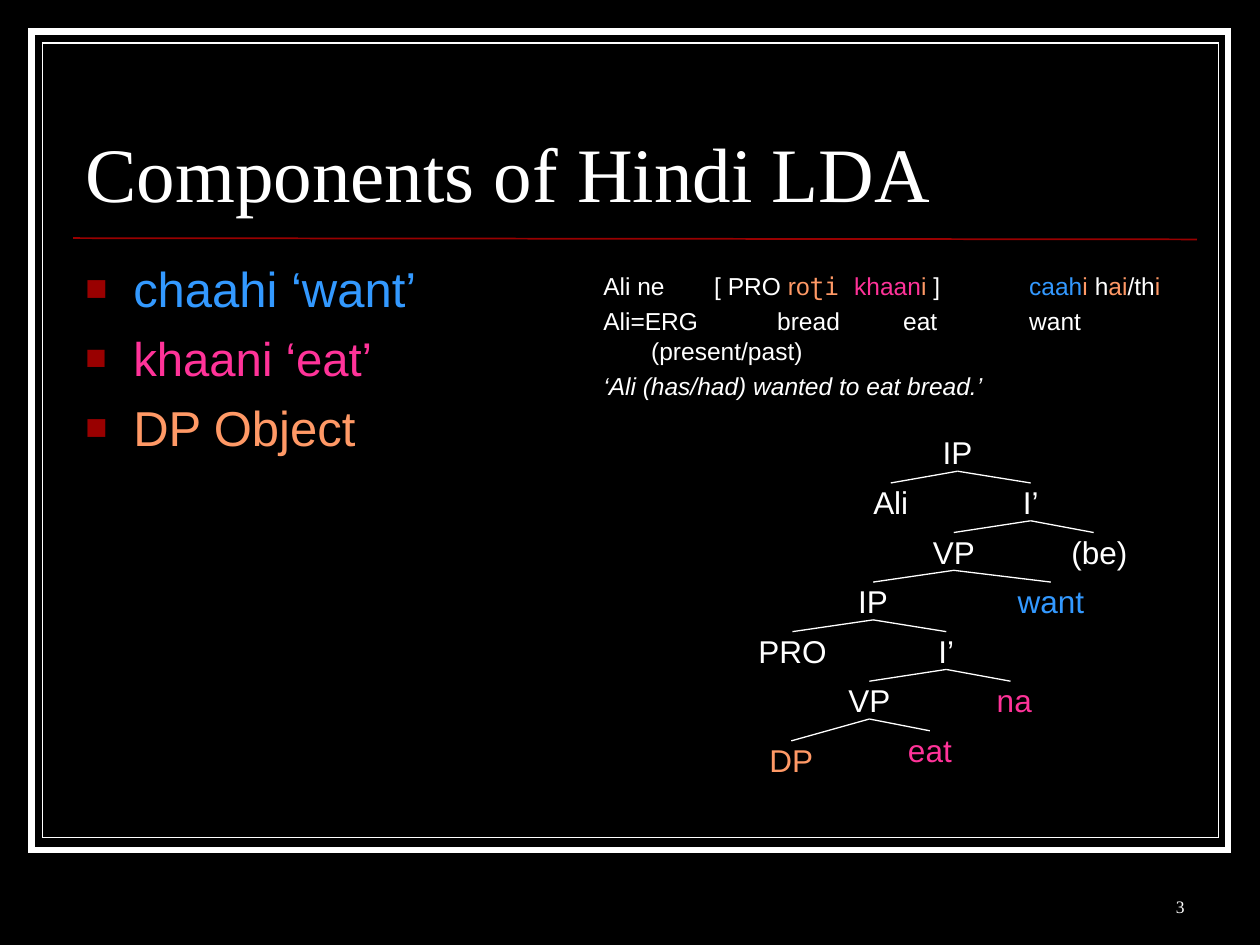
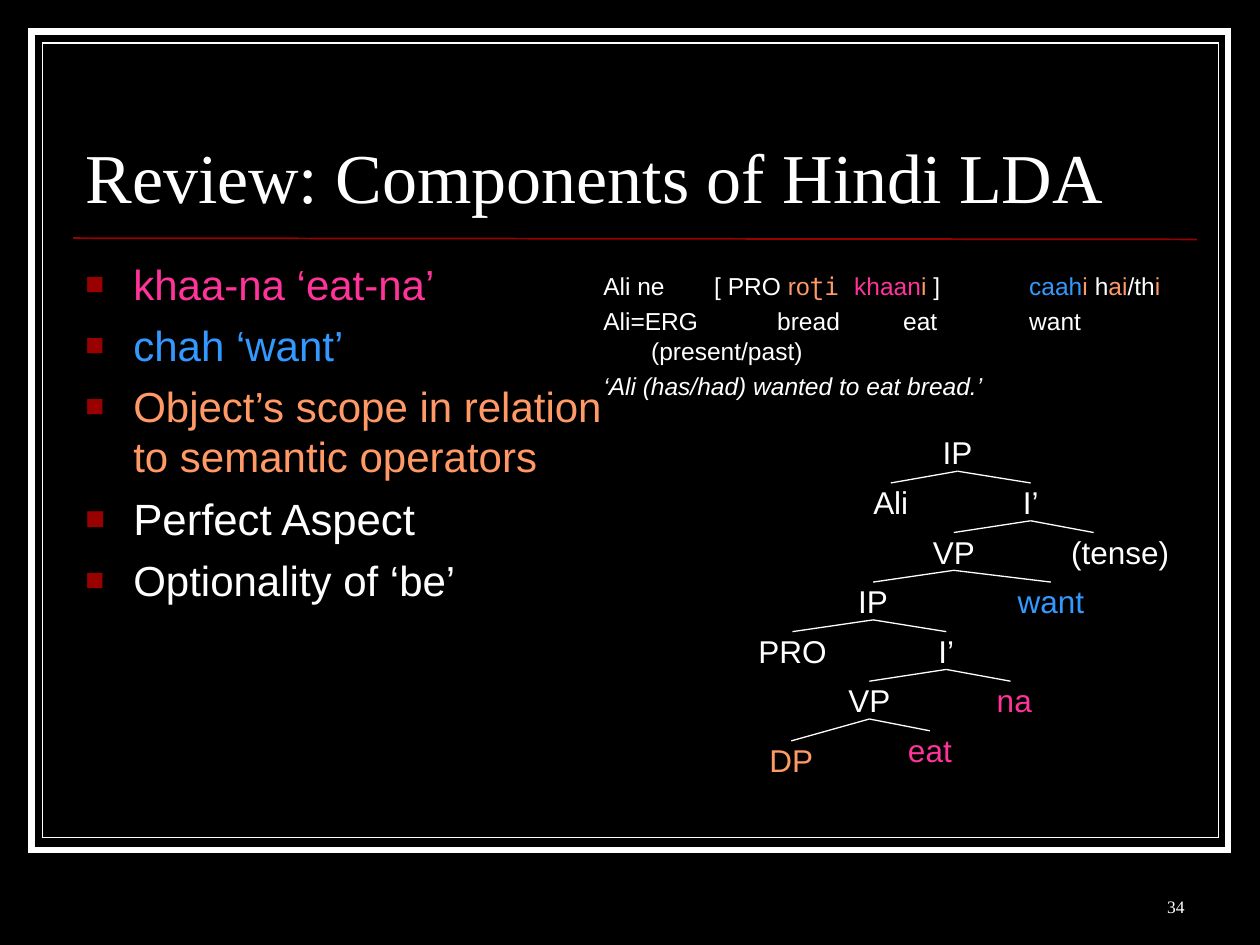
from dataclasses import dataclass

from lxml import etree
from pptx import Presentation
from pptx.dml.color import RGBColor
from pptx.enum.shapes import MSO_CONNECTOR, MSO_SHAPE
from pptx.enum.text import MSO_ANCHOR, PP_ALIGN
from pptx.oxml.ns import qn
from pptx.util import Inches, Pt

RECT, LINE = MSO_SHAPE.RECTANGLE, MSO_CONNECTOR.STRAIGHT
TOP, MIDDLE, BOTTOM = MSO_ANCHOR.TOP, MSO_ANCHOR.MIDDLE, MSO_ANCHOR.BOTTOM
LEFT, CENTER, RIGHT = PP_ALIGN.LEFT, PP_ALIGN.CENTER, PP_ALIGN.RIGHT

WIDTH, HEIGHT = Inches(10), Inches(7.5)
COLS = 10
UNIT = WIDTH / COLS  # grid squares: 10 columns by 7.5 rows

BLACK, WHITE, RED = "000000", "FFFFFF", "990000"
BLUE, PINK, PEACH = "3399FF", "FF3399", "FF9966"
SANS, SERIF, MONO = "Arial", "Times New Roman", "DejaVu Sans Mono"

HANG = 0.38
PAD = (0.1, 0.05)
TREE_TOP, TREE_END, LEVELS = 3.44, 5.8, 6
STEP = (TREE_END - TREE_TOP) / LEVELS
LABEL, SLACK = 0.3, 0.06


def grid(*sizes):
    """Turn grid squares into slide lengths."""
    return [round(size * UNIT) for size in sizes]


def paint(target, color):
    """Colour a fill, or a font or line through its own colour."""
    if hasattr(target, "solid"):
        target.solid()
        target = target.fore_color
    else:
        target = target.color
    target.rgb = RGBColor.from_string(color)


def node(parent, tag, **attrs):
    return etree.SubElement(parent, qn(tag), {k: str(v) for k, v in attrs.items()})


def add_bullet(para):
    props = para._p.get_or_add_pPr()
    node(node(props, "a:buClr"), "a:srgbClr", val=RED)
    node(props, "a:buSzPct", val=75000)
    node(props, "a:buFont", typeface=SANS)
    node(props, "a:buChar", char="■")


def add_run(para, words, size, font, color, italic=False):
    run = para.add_run()
    run.text = words
    run.font.size, run.font.name = Pt(size), font
    run.font.italic = italic
    paint(run.font, color)


def add_para(para, runs, size=18, font=SANS, color=WHITE, align=LEFT, before=0,
             spacing=None, hang=0, bullet=False, italic=False):
    """Fill a paragraph; runs is a string or (words, colour[, font]) tuples."""
    para.alignment, para.line_spacing = align, spacing
    para.space_before = Pt(before)
    if hang:
        margin, = grid(hang)
        props = para._p.get_or_add_pPr()
        props.set("marL", str(margin))
        props.set("indent", str(-margin))
    if bullet:
        add_bullet(para)
    if isinstance(runs, str):
        runs = [(runs, color)]
    for words, tint, *face in runs:
        add_run(para, words, size, face[0] if face else font, tint, italic)


def add_text(slide, box, paras, anchor=TOP, pad=PAD, wrap=True, **style):
    """Add a text box; paras is a string or (runs, own style) pairs."""
    frame = slide.shapes.add_textbox(*grid(*box)).text_frame
    frame.word_wrap, frame.vertical_anchor = wrap, anchor
    side, edge = grid(*pad)
    frame.margin_left = frame.margin_right = side
    frame.margin_top = frame.margin_bottom = edge
    if isinstance(paras, str):
        paras = [(paras, {})]
    for i, (runs, own) in enumerate(paras):
        para = frame.add_paragraph() if i else frame.paragraphs[0]
        add_para(para, runs, **{**style, **own})


def add_frame(slide, inset, box, weight):
    shape = slide.shapes.add_shape(RECT, *grid(inset, inset, *box))
    shape.shadow.inherit = False
    paint(shape.fill, BLACK)
    paint(shape.line, WHITE)
    shape.line.width = Pt(weight)
    node(shape._element.spPr.find(qn("a:ln")), "a:miter", lim=800000)


def add_line(slide, start, end, color=WHITE, weight=0.75):
    line = slide.shapes.add_connector(LINE, *grid(*start, *end))
    paint(line.line, color)
    line.line.width = Pt(weight)
    node(line._element.spPr, "a:effectLst")


@dataclass
class Leaf:
    """A tree label centred on x, with its children."""
    text: str
    x: float
    width: float
    kids: tuple = ()
    color: str = WHITE
    drop: float = 0
    shift: float = 0


def make_tree(aux, wide):
    """Syntax tree whose auxiliary label starts at a fixed left edge."""
    obj = Leaf("DP", 6.28, 0.35, color=PEACH, drop=0.08)
    verb = Leaf("eat", 7.38, 0.35, color=PINK)
    low = Leaf("VP", 6.9, 0.33, (obj, verb))
    inf = Leaf("na", 8.02, 0.28, color=PINK, shift=0.03)
    bar = Leaf("I’", 7.51, 0.13, (low, inf))
    clause = Leaf("IP", 6.93, 0.24, (Leaf("PRO", 6.29, 0.54), bar))
    want = Leaf("want", 8.34, 0.53, color=BLUE)
    high = Leaf("VP", 7.57, 0.33, (clause, want))
    tense = Leaf(aux, 8.68, wide, shift=wide / 2 - 0.18)
    head = Leaf("I’", 8.18, 0.13, (high, tense))
    return Leaf("IP", 7.6, 0.24, (Leaf("Ali", 7.07, 0.28), head))


def add_tree(slide, leaf, level=0):
    top = TREE_TOP + level * STEP + leaf.drop
    width = leaf.width + SLACK
    left = leaf.x + leaf.shift - width / 2
    add_text(slide, (left, top, width, LABEL), leaf.text, anchor=MIDDLE,
             pad=(0, 0), wrap=False, align=CENTER, color=leaf.color)
    for kid in leaf.kids:
        start = TREE_TOP + (level + 1) * STEP + kid.drop
        add_line(slide, (leaf.x, top + LABEL), (kid.x, start))
        add_tree(slide, kid, level + 1)


def add_gloss(slide):
    """Example sentence with word glosses, on the default half-inch tabs."""
    hindi = [("Ali ne\t[ PRO ", WHITE), ("ro", PEACH), ("ʈi ", PEACH, MONO),
             ("khaan", PINK), ("i", PEACH), (" ]\t\t", WHITE), ("caah", BLUE),
             ("i ", PEACH), ("h", WHITE), ("ai", PEACH), ("/th", WHITE),
             ("i", PEACH)]
    paras = [
        (hindi, {}),
        ("Ali=ERG\t\tbread\t\teat\t\twant (present/past)", {}),
        ("‘Ali (has/had) wanted to eat bread.’", {"italic": True}),
    ]
    add_text(slide, (4.69, 2.1, 4.93, 4.42), paras, size=14, before=3.5, hang=HANG)


def add_points(slide, points):
    """Bulleted list of (words, colour, size), spaced a quarter of the size."""
    paras = [(words, {"color": color, "size": size, "before": size / 4})
             for words, color, size in points]
    add_text(slide, (0.58, 2, 4.37, 4.42), paras, hang=HANG, bullet=True)


def add_slide(deck, title, size, points, aux, number):
    slide = deck.slides.add_slide(deck.slide_layouts[6])
    paint(slide.background.fill, BLACK)
    add_frame(slide, 0.25, (9.5, 6.5), 3.5)
    add_frame(slide, 0.34, (9.33, 6.31), 0.75)
    add_line(slide, (0.58, 1.89), (9.5, 1.9), RED, 1)
    add_text(slide, (0.58, 0.52, 8.92, 1.25), title, anchor=BOTTOM,
             size=size, font=SERIF, spacing=0.8)
    add_points(slide, points)
    add_tree(slide, make_tree(*aux))
    add_gloss(slide)
    add_text(slide, (7.42, 6.83, 2.08, 0.5), number, anchor=BOTTOM,
             size=10, font=SERIF, align=RIGHT)


def main():
    deck = Presentation()
    deck.slide_width, deck.slide_height = WIDTH, HEIGHT
    parts = [("chaahi ‘want’", BLUE, 28), ("khaani ‘eat’", PINK, 27),
             ("DP Object", PEACH, 28)]
    add_slide(deck, "Components of Hindi LDA", 44, parts, ("(be)", 0.45), "3")
    review = [("khaa-na ‘eat-na’", PINK, 24), ("chah ‘want’", BLUE, 24),
              ("Object’s scope in relation to semantic operators", PEACH, 24),
              ("Perfect Aspect", WHITE, 25), ("Optionality of ‘be’", WHITE, 24)]
    add_slide(deck, "Review: Components of Hindi LDA", 40, review,
              ("(tense)", 0.78), "34")
    deck.save("out.pptx")


if __name__ == "__main__":
    main()
